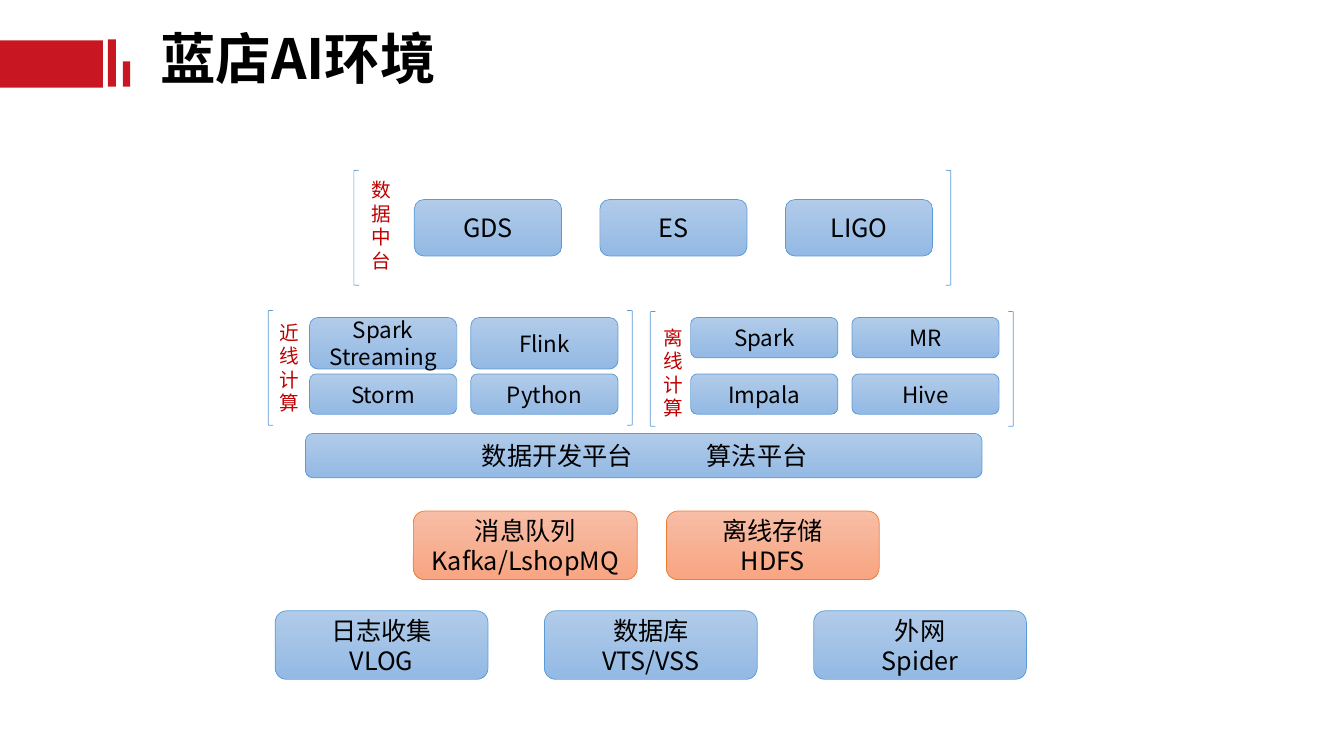
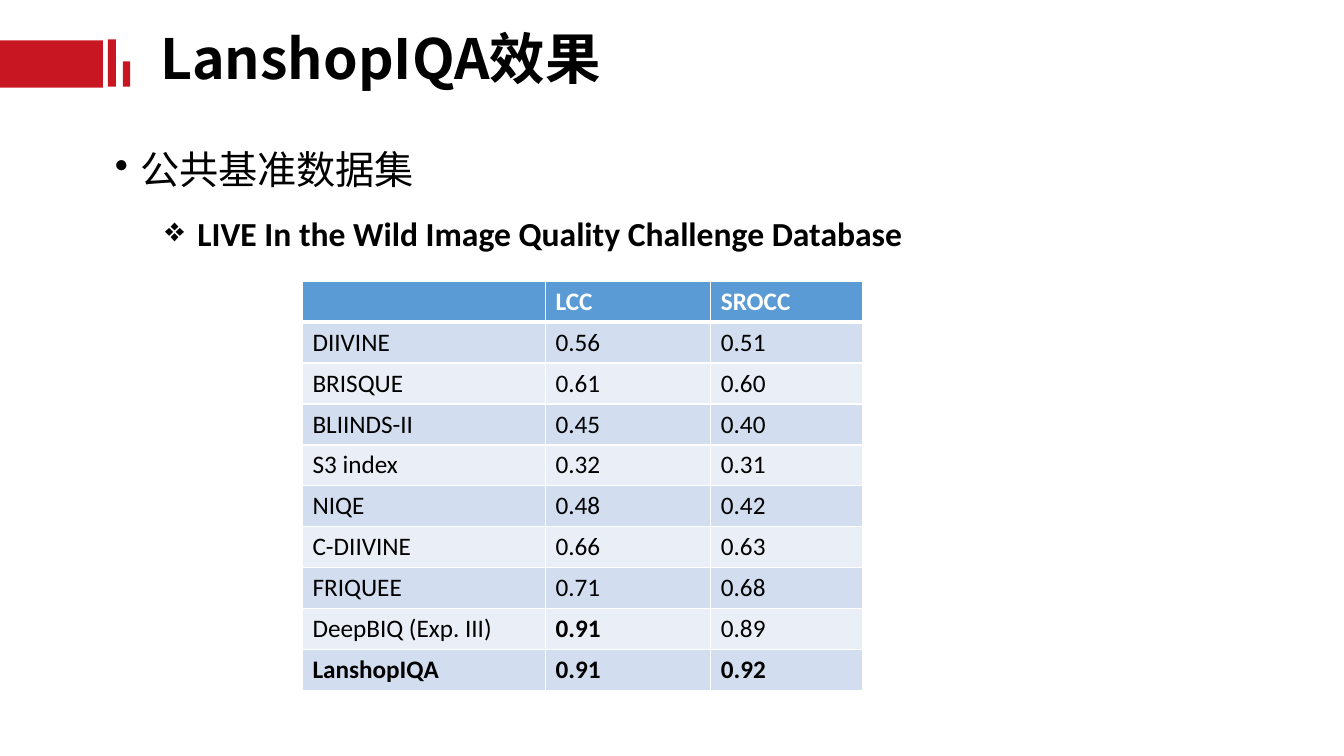
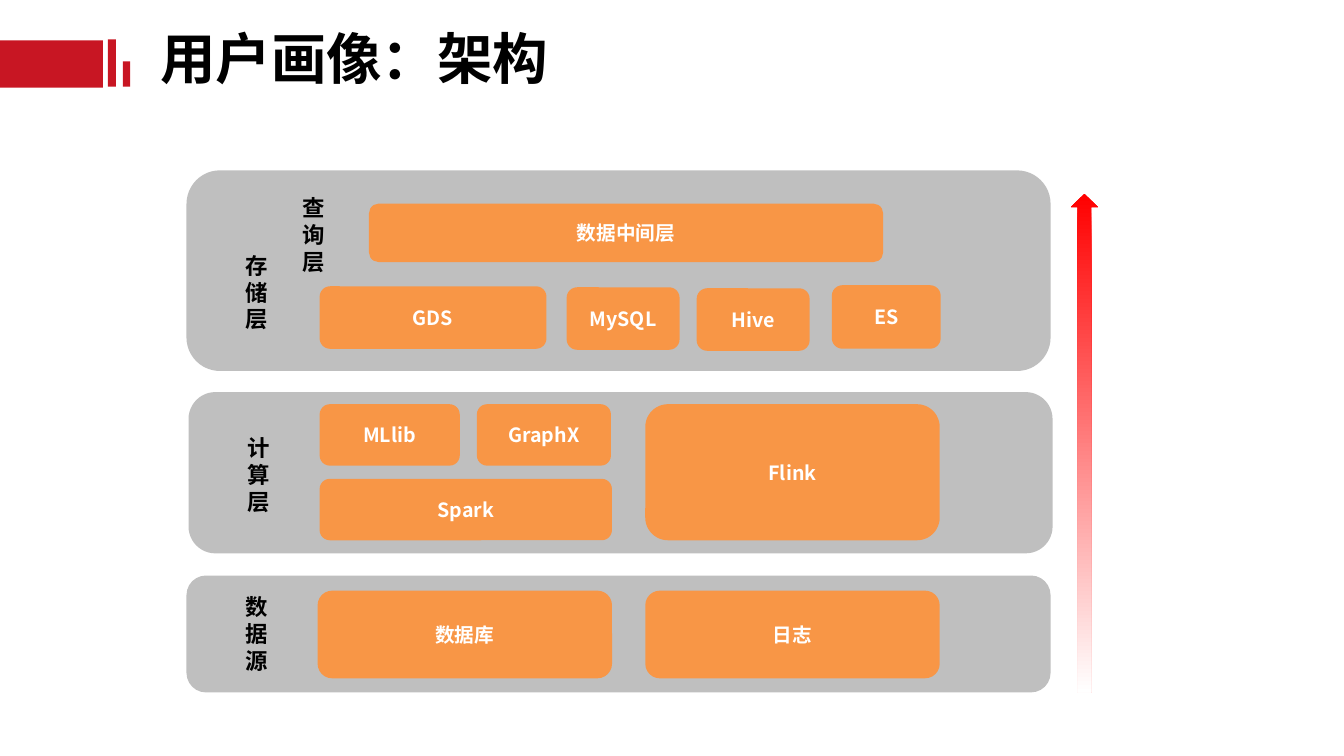
from lxml import etree
from pptx import Presentation
from pptx.dml.color import RGBColor
from pptx.enum import shapes, text
from pptx.oxml import ns
from pptx.util import Inches, Pt

RED = RGBColor(0xC8, 0x16, 0x23)
LABEL_RED = RGBColor(0xC0, 0x00, 0x00)
ARROW_RED = RGBColor(0xFF, 0x00, 0x00)
BLACK = RGBColor(0x00, 0x00, 0x00)
WHITE = RGBColor(0xFF, 0xFF, 0xFF)
BLUE = RGBColor(0x5B, 0x9B, 0xD5)
BLUE_LIGHT = RGBColor(0xB1, 0xCB, 0xE9)
BLUE_DEEP = RGBColor(0x93, 0xB9, 0xE4)
PEACH = RGBColor(0xED, 0x7D, 0x31)
PEACH_LIGHT = RGBColor(0xF7, 0xBD, 0xA5)
PEACH_DEEP = RGBColor(0xF8, 0xA5, 0x82)
ORANGE = RGBColor(0xF8, 0x96, 0x46)
GREY = RGBColor(0xBF, 0xBF, 0xBF)
ROW_DARK = RGBColor(0xD2, 0xDE, 0xEF)
ROW_LIGHT = RGBColor(0xEA, 0xEF, 0xF7)

BLUE_STYLE = (BLUE_LIGHT, BLUE_DEEP, BLUE)
PEACH_STYLE = (PEACH_LIGHT, PEACH_DEEP, PEACH)
CJK_FONT = "Noto Sans CJK SC"
LATIN_FONT = "Calibri"
LINE_RATIO = 1.2
SHAPE = shapes.MSO_SHAPE


def add_xml(parent, tag, **attributes):
    return etree.SubElement(parent, ns.qn(tag), attributes)


def format_runs(paragraph, size, color, bold=False, name=CJK_FONT):
    for run in paragraph.runs:
        font = run.font
        font.size, font.bold, font.name = Pt(size), bold, name
        font.color.rgb = color
        add_xml(run.font._element, "a:ea", typeface=name)


def write(frame, words, size, color, bold=False, align=None):
    """Fill a frame; several lines get an even line pitch."""
    frame.word_wrap = True
    frame.text = words
    for paragraph in frame.paragraphs:
        paragraph.alignment = align
        if len(frame.paragraphs) > 1:
            paragraph.line_spacing = Pt(round(size * LINE_RATIO, 1))
        format_runs(paragraph, size, color, bold)


def add_box(slide, kind, left, top, width, height, fill=None, line=None):
    shape = slide.shapes.add_shape(
        kind, Inches(left), Inches(top), Inches(width), Inches(height))
    shape.shadow.inherit = False
    if fill is None:
        shape.fill.background()
    else:
        shape.fill.solid()
        shape.fill.fore_color.rgb = fill
    if line is None:
        shape.line.fill.background()
    else:
        shape.line.color.rgb = line
        shape.line.width = Pt(0.5)
    return shape


def fade_down(shape, upper, lower):
    shape.fill.gradient()
    shape.fill.gradient_angle = 270
    for stop, position, color in zip(shape.fill.gradient_stops, (0, 1), (upper, lower)):
        stop.position = position
        stop.color.rgb = color


def add_text(slide, left, top, width, height):
    textbox = slide.shapes.add_textbox(
        Inches(left), Inches(top), Inches(width), Inches(height))
    textbox.text_frame.word_wrap = True
    return textbox.text_frame


def add_label(slide, left, top, words, size, color, bold=False):
    """Write a label downwards, one character on each line."""
    frame = add_text(slide, left, top, 0.4, 1.04)
    write(frame, "\n".join(words), size, color, bold)


def add_titled_slide(presentation, title):
    slide = presentation.slides.add_slide(presentation.slide_layouts[6])
    for box in ((1.07, 0.39, 0.08, 0.47), (1.22, 0.61, 0.07, 0.25), (0, 0.4, 1.02, 0.47)):
        add_box(slide, SHAPE.RECTANGLE, *box, fill=RED)
    frame = add_text(slide, 1.49, 0.25, 9.36, 0.73)
    frame.vertical_anchor = text.MSO_ANCHOR.MIDDLE
    write(frame, title, 39.6, BLACK, bold=True)
    frame.paragraphs[0].line_spacing = 0.9
    return slide


def add_node(slide, left, top, width, height, words, size=18, style=BLUE_STYLE):
    upper, lower, line = style
    shape = add_box(slide, SHAPE.ROUNDED_RECTANGLE, left, top, width, height, line=line)
    fade_down(shape, upper, lower)
    write(shape.text_frame, words, size, BLACK, align=text.PP_ALIGN.CENTER)
    return shape


def add_bracket_group(slide, left, top, width, label, label_at, first, pitch, size, rows):
    """Rows hold an offset from the top, a height and the names of their nodes."""
    for kind, x in ((SHAPE.LEFT_BRACKET, left), (SHAPE.RIGHT_BRACKET, left + width - 0.05)):
        add_box(slide, kind, x, top, 0.05, 1.14, line=BLUE)
    add_label(slide, left + label_at[0], top + label_at[1], label, 14, LABEL_RED)
    for offset, height, names in rows:
        for column, name in enumerate(names):
            add_node(slide, left + first + column * pitch, top + offset,
                     1.46, height, name, size)


def add_platform_bar(slide, left, top, width, height):
    bar = add_node(slide, left, top, width, height, "\t数据开发平台\t算法平台")
    paragraph = bar.text_frame.paragraphs[0]
    paragraph.alignment = text.PP_ALIGN.LEFT
    tabs = add_xml(paragraph._p.get_or_add_pPr(), "a:tabLst")
    for position in (1.63, 3.86):
        add_xml(tabs, "a:tab", pos=str(Inches(position)), algn="l")


def build_environment(presentation):
    slide = add_titled_slide(presentation, "蓝店AI环境")
    add_bracket_group(slide, 3.51, 1.69, 5.92, "数据中台", (0.08, 0.03), 0.6, 1.84, 18,
                      [(0.29, 0.56, ("GDS", "ES", "LIGO"))])
    add_bracket_group(slide, 2.66, 3.08, 3.61, "近线计算", (0.01, 0.05), 0.41, 1.6, 16,
                      [(0.07, 0.51, ("Spark\nStreaming", "Flink")),
                       (0.63, 0.4, ("Storm", "Python"))])
    add_bracket_group(slide, 6.45, 3.09, 3.6, "离线计算", (0.03, 0.09), 0.4, 1.6, 16,
                      [(0.06, 0.4, ("Spark", "MR")), (0.62, 0.4, ("Impala", "Hive"))])
    add_platform_bar(slide, 3.03, 4.3, 6.71, 0.44)
    add_node(slide, 4.1, 5.07, 2.22, 0.68, "消息队列\nKafka/LshopMQ", style=PEACH_STYLE)
    add_node(slide, 6.61, 5.07, 2.11, 0.68, "离线存储\nHDFS", style=PEACH_STYLE)
    for column, words in enumerate(("日志收集\nVLOG", "数据库\nVTS/VSS", "外网\nSpider")):
        add_node(slide, 2.73 + column * 2.67, 6.06, 2.11, 0.68, words)


def add_bullets(slide, left, top, width, height):
    frame = add_text(slide, left, top, width, height)
    frame.text = "公共基准数据集\nLIVE In the Wild Image Quality Challenge Database"
    dataset, database = frame.paragraphs
    database.space_before = Pt(5)
    for paragraph, mark, margin, hang in ((dataset, "•", 0.25, 0.25), (database, "❖", 0.82, 0.32)):
        paragraph.line_spacing = 0.9
        paragraph.space_after = Pt(12)
        properties = paragraph._p.get_or_add_pPr()
        properties.set("marL", str(Inches(margin)))
        properties.set("indent", str(-Inches(hang)))
        add_xml(properties, "a:buChar", char=mark)
    format_runs(dataset, 28, BLACK)
    format_runs(database, 24, BLACK, bold=True, name=LATIN_FONT)


def set_borders(cell, bottom):
    properties = cell._tc.get_or_add_tcPr()
    widths = {"a:lnL": 1, "a:lnR": 1, "a:lnT": 1, "a:lnB": bottom}
    for index, (tag, width) in enumerate(widths.items()):
        line = etree.Element(ns.qn(tag), {"w": str(Pt(width))})
        add_xml(add_xml(line, "a:solidFill"), "a:srgbClr", val=str(WHITE))
        properties.insert(index, line)


def add_score_table(slide, left, top, widths, row_height, rows, bold_cells):
    table = slide.shapes.add_table(
        len(rows), len(widths), Inches(left), Inches(top),
        Inches(sum(widths)), Inches(row_height * len(rows))).table
    for column, width in zip(table.columns, widths):
        column.width = Inches(width)
    for r, values in enumerate(rows):
        table.rows[r].height = Inches(row_height)
        header = r == 0
        fill = BLUE if header else ROW_DARK if r % 2 else ROW_LIGHT
        for c, value in enumerate(values):
            cell = table.cell(r, c)
            cell.text = value
            format_runs(cell.text_frame.paragraphs[0], 18, WHITE if header else BLACK,
                        header or (r, c) in bold_cells, LATIN_FONT)
            cell.fill.solid()
            cell.fill.fore_color.rgb = fill
            set_borders(cell, 3 if header else 1)


def build_results(presentation):
    slide = add_titled_slide(presentation, "LanshopIQA效果")
    add_bullets(slide, 1.04, 1.45, 8.81, 1.2)
    rows = [
        ("", "LCC", "SROCC"),
        ("DIIVINE", "0.56", "0.51"),
        ("BRISQUE", "0.61", "0.60"),
        ("BLIINDS-II", "0.45", "0.40"),
        ("S3 index", "0.32", "0.31"),
        ("NIQE", "0.48", "0.42"),
        ("C-DIIVINE", "0.66", "0.63"),
        ("FRIQUEE", "0.71", "0.68"),
        ("DeepBIQ (Exp. III)", "0.91", "0.89"),
        ("LanshopIQA", "0.91", "0.92"),
    ]
    add_score_table(slide, 3, 2.79, (2.41, 1.64, 1.51), 4.06 / len(rows), rows,
                    {(8, 1), (9, 0), (9, 1), (9, 2)})


def add_layer(slide, left, top, height, labels, blocks):
    """Draw a grey layer; labels and blocks are placed from its top left corner."""
    add_box(slide, SHAPE.ROUNDED_RECTANGLE, left, top, 8.57, height, fill=GREY)
    for x, y, words in labels:
        add_label(slide, left + x, top + y, words, 16, BLACK, bold=True)
    for x, y, width, block_height, words in blocks:
        block = add_box(slide, SHAPE.ROUNDED_RECTANGLE, left + x, top + y,
                        width, block_height, fill=ORANGE)
        write(block.text_frame, words, 14, WHITE, True, text.PP_ALIGN.CENTER)


def build_architecture(presentation):
    slide = add_titled_slide(presentation, "用户画像：架构")
    add_layer(slide, 1.85, 1.69, 1.99,
              [(0.49, 0.76, "存储层"), (1.05, 0.19, "查询层")],
              [(1.81, 0.33, 5.1, 0.58, "数据中间层"),
               (1.32, 1.15, 2.25, 0.62, "GDS"),
               (3.77, 1.16, 1.12, 0.62, "MySQL"),
               (5.06, 1.17, 1.12, 0.62, "Hive"),
               (6.4, 1.14, 1.08, 0.63, "ES")])
    add_layer(slide, 1.87, 3.89, 1.6,
              [(0.49, 0.37, "计算层")],
              [(1.3, 0.12, 1.39, 0.61, "MLlib"),
               (2.86, 0.12, 1.33, 0.61, "GraphX"),
               (1.3, 0.86, 2.9, 0.61, "Spark"),
               (4.53, 0.12, 2.92, 1.35, "Flink")])
    add_layer(slide, 1.85, 5.71, 1.16,
              [(0.49, 0.13, "数据源")],
              [(1.3, 0.15, 2.92, 0.87, "数据库"), (4.55, 0.15, 2.92, 0.87, "日志")])
    arrow = add_box(slide, SHAPE.UP_ARROW, 10.62, 1.92, 0.27, 4.95)
    fade_down(arrow, ARROW_RED, WHITE)


def main():
    presentation = Presentation()
    presentation.slide_width, presentation.slide_height = Inches(13.33), Inches(7.5)
    build_environment(presentation)
    build_results(presentation)
    build_architecture(presentation)
    presentation.save("out.pptx")


if __name__ == "__main__":
    main()
